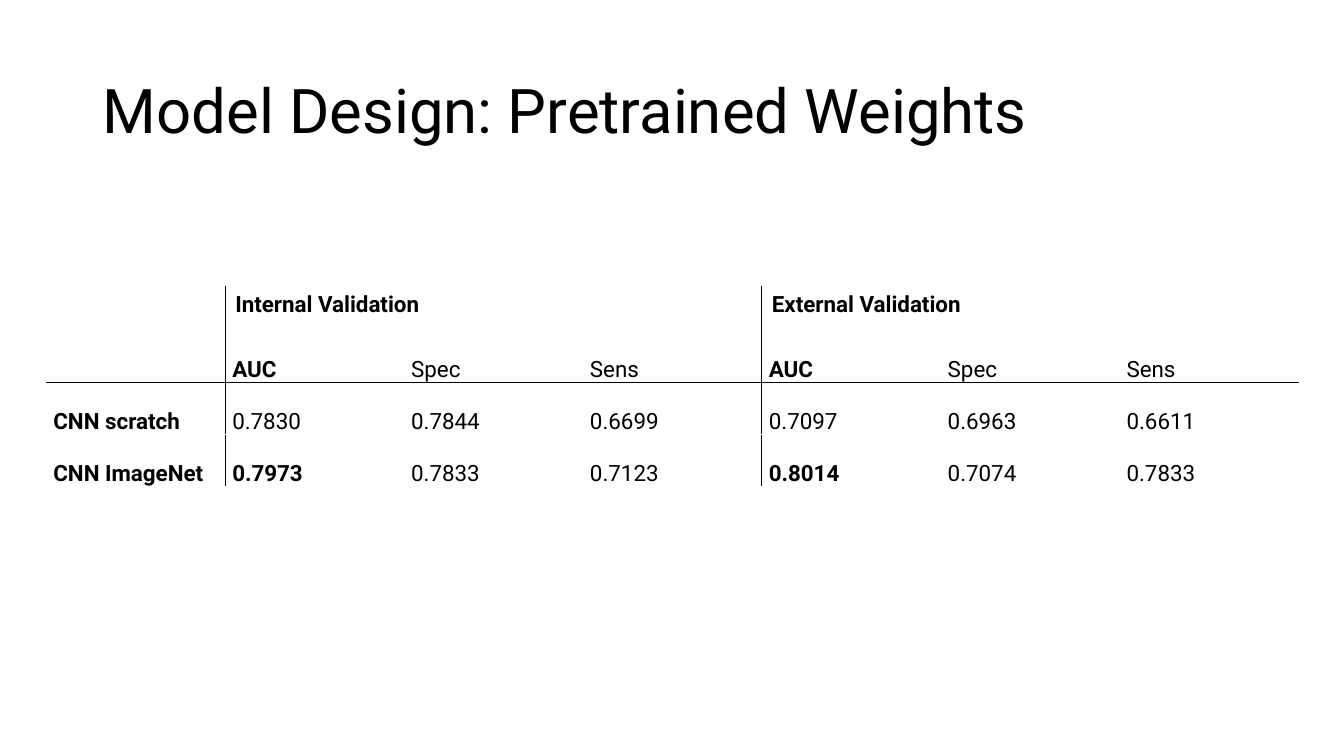
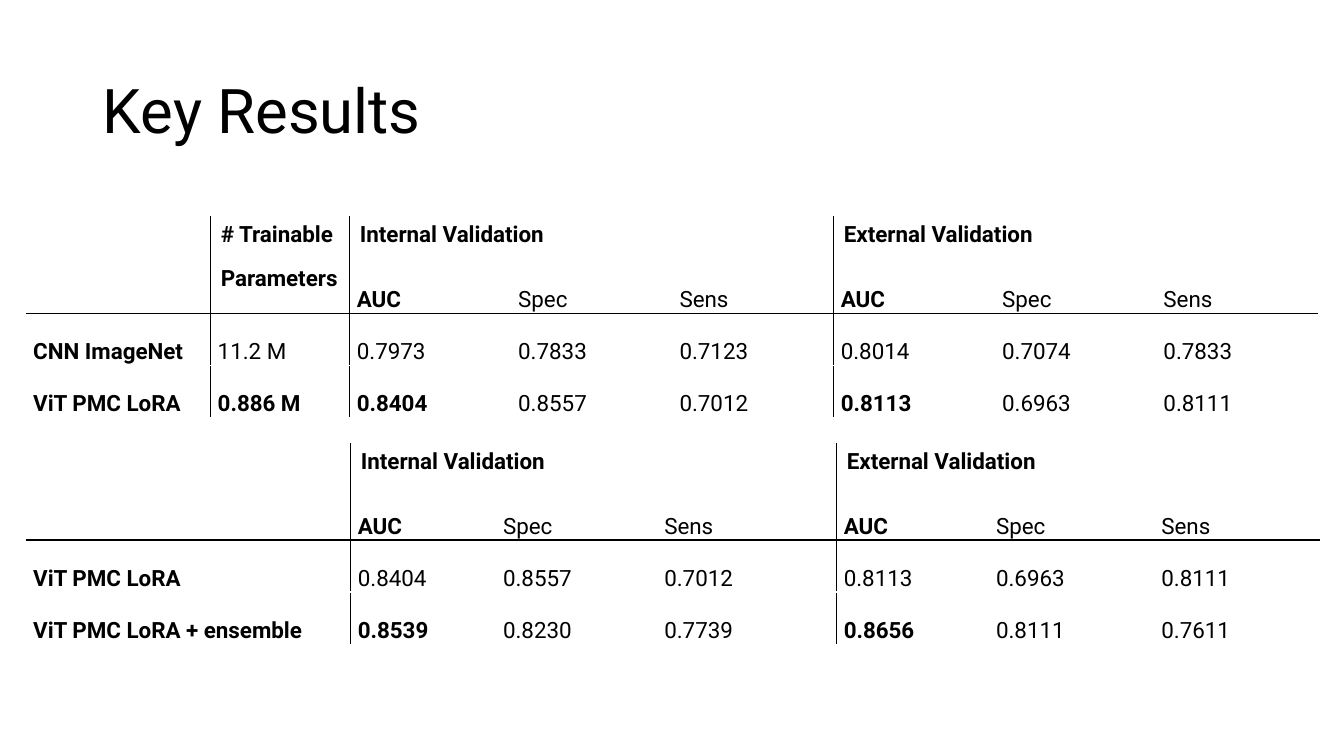
from dataclasses import dataclass

from lxml import etree
from pptx import Presentation
from pptx.dml.color import RGBColor
from pptx.enum.text import MSO_ANCHOR, MSO_AUTO_SIZE, PP_ALIGN
from pptx.oxml.ns import qn
from pptx.util import Inches, Pt

LEFT = PP_ALIGN.LEFT
MIDDLE = MSO_ANCHOR.MIDDLE
NO_AUTOFIT = MSO_AUTO_SIZE.NONE


@dataclass(frozen=True)
class Theme:
    font: str = "Roboto"
    ink: str = "000000"
    paper: str = "FFFFFF"
    title_size: int = 44
    table_size: int = 16
    rule_width: int = 1


THEME = Theme()
SLIDE_SIZE = (13.33, 7.5)
TITLE_BOX = (0.92, 0.4, 11.5, 1.45)
ROW_HEIGHT = 0.44
METRICS = ["AUC", "Spec", "Sens"]
VALIDATIONS = [("Internal Validation", METRICS), ("External Validation", METRICS)]
PARAMETERS = ("# Trainable", ["Parameters"])

SLIDES = [
    ("Model Design: Pretrained Weights", [
        {
            "at": (0.46, 2.84),
            "columns": [12.42 / 7] * 7,
            "groups": VALIDATIONS,
            "results": [
                ["CNN scratch", "0.7830", "0.7844", "0.6699", "0.7097", "0.6963", "0.6611"],
                ["CNN ImageNet", "0.7973", "0.7833", "0.7123", "0.8014", "0.7074", "0.7833"],
            ],
        },
    ]),
    ("Key Results", [
        {
            "at": (0.26, 2.15),
            "columns": [1.83, 1.38] + [1.6] * 6,
            "groups": [PARAMETERS] + VALIDATIONS,
            "results": [
                ["CNN ImageNet", "11.2 M", "0.7973", "0.7833", "0.7123",
                 "0.8014", "0.7074", "0.7833"],
                ["ViT PMC LoRA", "0.886 M", "0.8404", "0.8557", "0.7012",
                 "0.8113", "0.6963", "0.8111"],
            ],
        },
        {
            "at": (0.26, 4.4),
            "columns": [3.22, 1.44, 1.6, 1.78, 1.51, 1.64, 1.64],
            "groups": VALIDATIONS,
            "results": [
                ["ViT PMC LoRA", "0.8404", "0.8557", "0.7012", "0.8113", "0.6963", "0.8111"],
                ["ViT PMC LoRA + ensemble", "0.8539", "0.8230", "0.7739",
                 "0.8656", "0.8111", "0.7611"],
            ],
        },
    ]),
]


def style_runs(paragraph, size, bold=False):
    for run in paragraph.runs:
        run.font.name = THEME.font
        run.font.size = Pt(size)
        run.font.bold = bold
        run.font.color.rgb = RGBColor.from_string(THEME.ink)


def set_title(slide, wording):
    title = slide.shapes.title
    title.left, title.top, title.width, title.height = map(Inches, TITLE_BOX)
    frame = title.text_frame
    frame.text = wording
    frame.word_wrap = True
    frame.auto_size = NO_AUTOFIT
    frame.vertical_anchor = MIDDLE
    heading = frame.paragraphs[0]
    heading.alignment = LEFT
    heading.line_spacing = 0.9
    style_runs(heading, THEME.title_size)


def set_borders(cell, colors):
    properties = cell._tc.get_or_add_tcPr()
    for side, color in zip("LRTB", colors):
        line = etree.SubElement(properties, qn(f"a:ln{side}"), w=str(Pt(THEME.rule_width)))
        if color is None:
            etree.SubElement(line, qn("a:noFill"))
        else:
            fill = etree.SubElement(line, qn("a:solidFill"))
            etree.SubElement(fill, qn("a:srgbClr"), val=color)


def write_cell(cell, wording, bold, compact):
    cell.text_frame.text = wording
    paragraph = cell.text_frame.paragraphs[0]
    if compact:
        cell.margin_left = cell.margin_right = Inches(0.07)
        cell.margin_top = cell.margin_bottom = 0
        paragraph.line_spacing = 2.0
        paragraph.space_after = Pt(8)
    style_runs(paragraph, THEME.table_size, bold)


def add_results(slide, at, columns, groups, results):
    group_row, metric_row, spans = [""], [""], {}
    for name, metrics in groups:
        spans[len(group_row)] = len(metrics)
        group_row += [name] + [""] * (len(metrics) - 1)
        metric_row += metrics
    rows = [group_row, metric_row] + results
    last = len(rows) - 1

    frame = slide.shapes.add_table(
        len(rows), len(columns), *map(Inches, (*at, sum(columns), ROW_HEIGHT * len(rows))))
    table = frame.table
    table.first_row = table.horz_banding = False
    for column, width in zip(table.columns, columns):
        column.width = Inches(width)
    for row in table.rows:
        row.height = Inches(ROW_HEIGHT)
    for start, span in spans.items():
        if span > 1:
            table.cell(0, start).merge(table.cell(0, start + span - 1))

    row_rules = [THEME.paper, None, THEME.ink] + [THEME.paper] * len(results)
    for r, row in enumerate(rows):
        for c, wording in enumerate(row):
            cell = table.cell(r, c)
            right = c + (spans.get(c, 1) if r == 0 else 1)
            sides = [THEME.ink if edge in spans else THEME.paper for edge in (c, right)]
            set_borders(cell, sides + row_rules[r:r + 2])
            cell.fill.background()
            if wording:
                bold = r == 0 or c == 0 or (c in spans and r in (1, last))
                compact = r > 0 and wording not in PARAMETERS[1]
                write_cell(cell, wording, bold, compact)


def main():
    deck = Presentation()
    deck.slide_width, deck.slide_height = map(Inches, SLIDE_SIZE)
    title_only = deck.slide_layouts[5]
    for title, tables in SLIDES:
        slide = deck.slides.add_slide(title_only)
        set_title(slide, title)
        for table in tables:
            add_results(slide, **table)
    deck.save("out.pptx")


if __name__ == "__main__":
    main()
